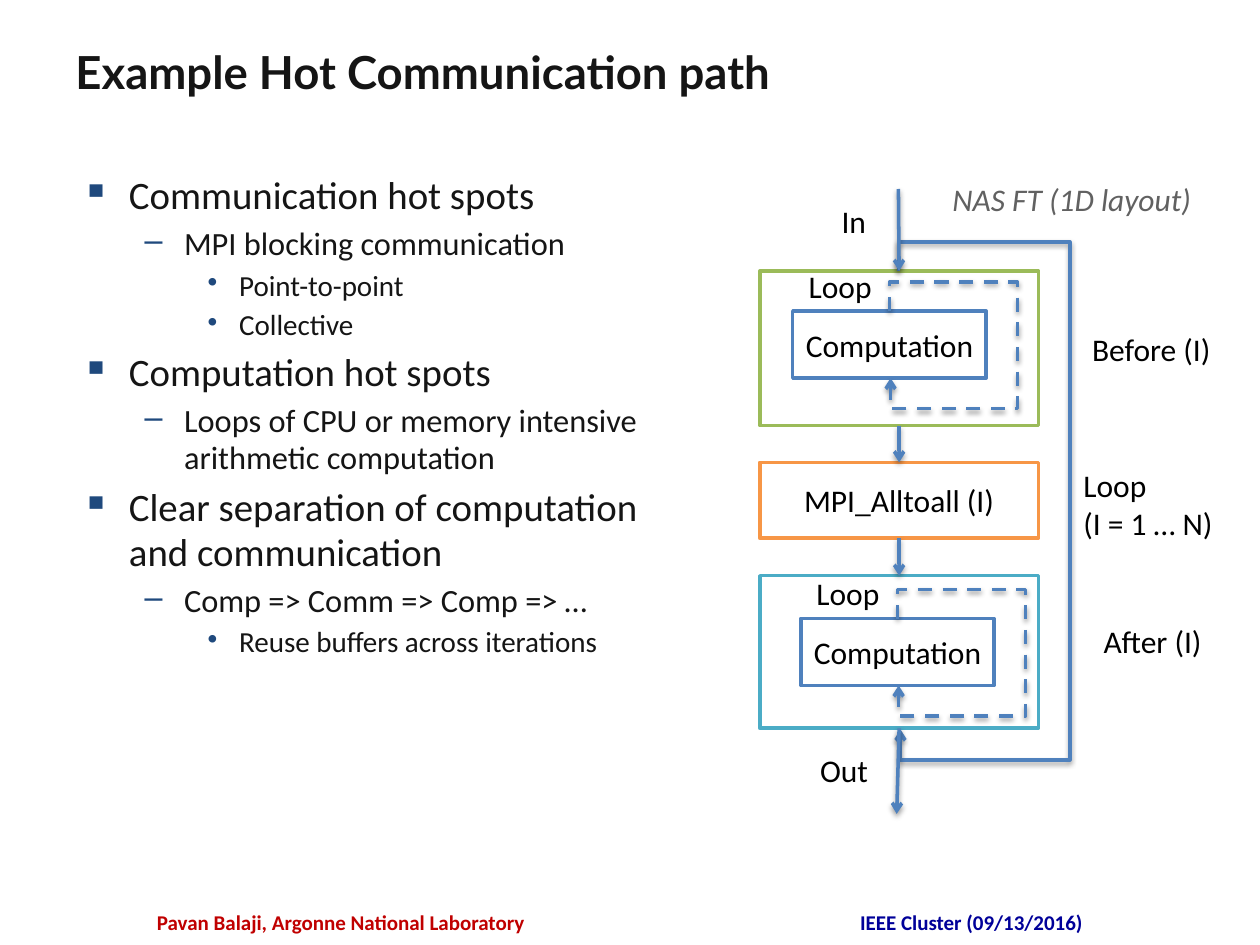
"""Build the slide on a hot communication path: bullets beside a loop flow chart."""
from lxml import etree
from pptx import Presentation
from pptx.dml.color import RGBColor
from pptx.enum import dml, shapes, text
from pptx.oxml import ns, parse_xml
from pptx.util import Pt

COLORS = {"ink": "151515", "black": "000000", "grey": "616161", "bullet": "1F497D",
          "blue": "4F81BD", "green": "9BBB59", "orange": "F79646", "aqua": "4BACC6",
          "red": "C00000", "navy": "000099"}
SHADOW = (f'<a:effectLst {ns.nsdecls("a")}><a:outerShdw blurRad="{Pt(3.1)}" dist="{Pt(1.6)}" '
          'dir="5400000" rotWithShape="0"><a:srgbClr val="000000"><a:alpha val="38000"/>'
          '</a:srgbClr></a:outerShdw></a:effectLst>')


def style_text(frame, size, color, font="Calibri", bold=False, italic=False, align=None):
    for paragraph in frame.paragraphs:
        paragraph.alignment = align
        for run in paragraph.runs:
            run.font.size, run.font.name = Pt(size), font
            run.font.bold, run.font.italic = bold, italic
            run.font.color.rgb = RGBColor.from_string(COLORS[color])


def style_arrow(arrow):
    arrow.line.color.rgb = RGBColor.from_string(COLORS["blue"])
    arrow.line.width = Pt(2)
    properties = arrow._element.spPr
    for effects in properties.findall(ns.qn("a:effectLst")):
        properties.remove(effects)
    tail = etree.SubElement(properties.find(ns.qn("a:ln")), ns.qn("a:tailEnd"))
    tail.set("type", "arrow")
    properties.append(parse_xml(SHADOW))


deck = Presentation()
deck.slide_width, deck.slide_height = Pt(720), Pt(540)
slide = deck.slides.add_slide(deck.slide_layouts[6])
canvas = slide.shapes

center = text.PP_ALIGN.CENTER
for words, left, top, width, height, look in [
    ("Pavan Balaji, Argonne National Laboratory", 77.8, 516.2, 234, 18,
     dict(size=12, color="red", bold=True, align=center)),
    ("IEEE Cluster (09/13/2016)", 414, 516.2, 282.2, 18,
     dict(size=12, color="navy", bold=True, align=center)),
    ("Example Hot Communication path", 36, 21.6, 648, 62.6,
     dict(size=26, color="ink", font="Lato", bold=True)),
]:
    heading = canvas.add_textbox(Pt(left), Pt(top), Pt(width), Pt(height)).text_frame
    heading.word_wrap = True
    heading.text = words
    style_text(heading, **look)

levels = [(22.2, 27, 27, "▪"), (18.5, 58.5, 22.5, "–"), (16.6, 90, 18, "•")]
points = [
    (0, "Communication hot spots"),
    (1, "MPI blocking communication"),
    (2, "Point-to-point"),
    (2, "Collective"),
    (0, "Computation hot spots"),
    (1, "Loops of CPU or memory intensive arithmetic computation"),
    (0, "Clear separation of computation and communication"),
    (1, "Comp => Comm => Comp => …"),
    (2, "Reuse buffers across iterations"),
]
body = canvas.add_textbox(Pt(39.6), Pt(95.8), Pt(355), Pt(326.2)).text_frame
body.word_wrap = True
body.text = "\n".join(words for level, words in points)
style_text(body, 22.2, "ink")
for index, (paragraph, (level, words)) in enumerate(zip(body.paragraphs, points)):
    size, margin, hanging, mark = levels[level]
    paragraph.level = level
    paragraph.line_spacing = 0.97
    paragraph.space_before = Pt(size * 0.2 if index else 0)
    paragraph.runs[0].font.size = Pt(size)
    properties = paragraph._p.get_or_add_pPr()
    properties.set("marL", str(Pt(margin)))
    properties.set("indent", str(-Pt(hanging)))
    tint = etree.SubElement(properties, ns.qn("a:buClr"))
    etree.SubElement(tint, ns.qn("a:srgbClr")).set("val", COLORS["bullet"])
    etree.SubElement(properties, ns.qn("a:buChar")).set("char", mark)

steps = []
for words, left, top, width, height, color in [
    ("", 434.2, 154.8, 159.2, 88.4, "green"),
    ("MPI_Alltoall (I)", 434.2, 264.2, 159.2, 43.4, "orange"),
    ("", 434.2, 329, 159.2, 87.2, "aqua"),
    ("Computation", 453, 177.8, 110.6, 38.2, "blue"),
    ("Computation", 457.6, 353.5, 110.6, 38.2, "blue"),
]:
    step = canvas.add_shape(shapes.MSO_SHAPE.RECTANGLE, Pt(left), Pt(top), Pt(width), Pt(height))
    step.shadow.inherit = False
    step.fill.background()
    step.line.color.rgb = RGBColor.from_string(COLORS[color])
    step.line.width = Pt(2)
    if words:
        step.text_frame.text = words
        step.text_frame.word_wrap = False
        step.text_frame.vertical_anchor = text.MSO_ANCHOR.MIDDLE
        style_text(step.text_frame, 18, "black", align=center)
    steps.append(step)
before, exchange, after = steps[:3]

routes = [([(513.4, 155), (513.4, 138.2), (611.3, 138.2),
            (611.3, 434.2), (514.6, 434.2), (514.6, 416.9)], False)]
for left, top in [(453, 177.8), (457.6, 353.5)]:
    offsets = [(55.3, 0), (55.3, -16.6), (128.4, -16.6), (128.4, 55.6), (55.9, 55.6), (55.9, 38.2)]
    routes.append(([(left + x, top + y) for x, y in offsets], True))
for corners, dashed in routes:
    start, *rest = [(Pt(x), Pt(y)) for x, y in corners]
    outline = canvas.build_freeform(*start)
    outline.add_line_segments(rest, close=False)
    loop = outline.convert_to_shape()
    loop.fill.background()
    if dashed:
        loop.line.dash_style = dml.MSO_LINE.DASH
    style_arrow(loop)

for source, target, start, end in [
    (None, before, (513.4, 108), (513.8, 154.8)),
    (before, exchange, (513.8, 243.2), (513.8, 264.2)),
    (exchange, after, (513.8, 307.6), (513.8, 329)),
    (after, None, (513.8, 416.2), (512.4, 465.1)),
]:
    flow = canvas.add_connector(shapes.MSO_CONNECTOR.STRAIGHT, *map(Pt, start + end))
    if source:
        flow.begin_connect(source, 2)
    if target:
        flow.end_connect(target, 0)
    style_arrow(flow)

for words, left, top, width, height in [
    ("Before (I)", 617, 185, 83.5, 28.1),
    ("After (I)", 623.5, 352.1, 71.3, 28.1),
    ("Loop\n(I = 1 … N)", 612, 262.8, 89.3, 49),
    ("In", 473.8, 111.6, 28.8, 28.1),
    ("Out", 461.5, 425.5, 42.5, 28.1),
    ("Loop", 455, 149, 51.1, 28.1),
    ("Loop", 459.4, 324.7, 51.1, 28.1),
    ("NAS FT (1D layout)", 537.1, 99.4, 174.2, 28.8),
]:
    label = canvas.add_textbox(Pt(left), Pt(top), Pt(width), Pt(height)).text_frame
    label.word_wrap = False
    label.auto_size = text.MSO_AUTO_SIZE.SHAPE_TO_FIT_TEXT
    label.text = words
    layout_note = words.startswith("NAS")
    style_text(label, 18, "grey" if layout_note else "black", italic=layout_note)

deck.save("out.pptx")
